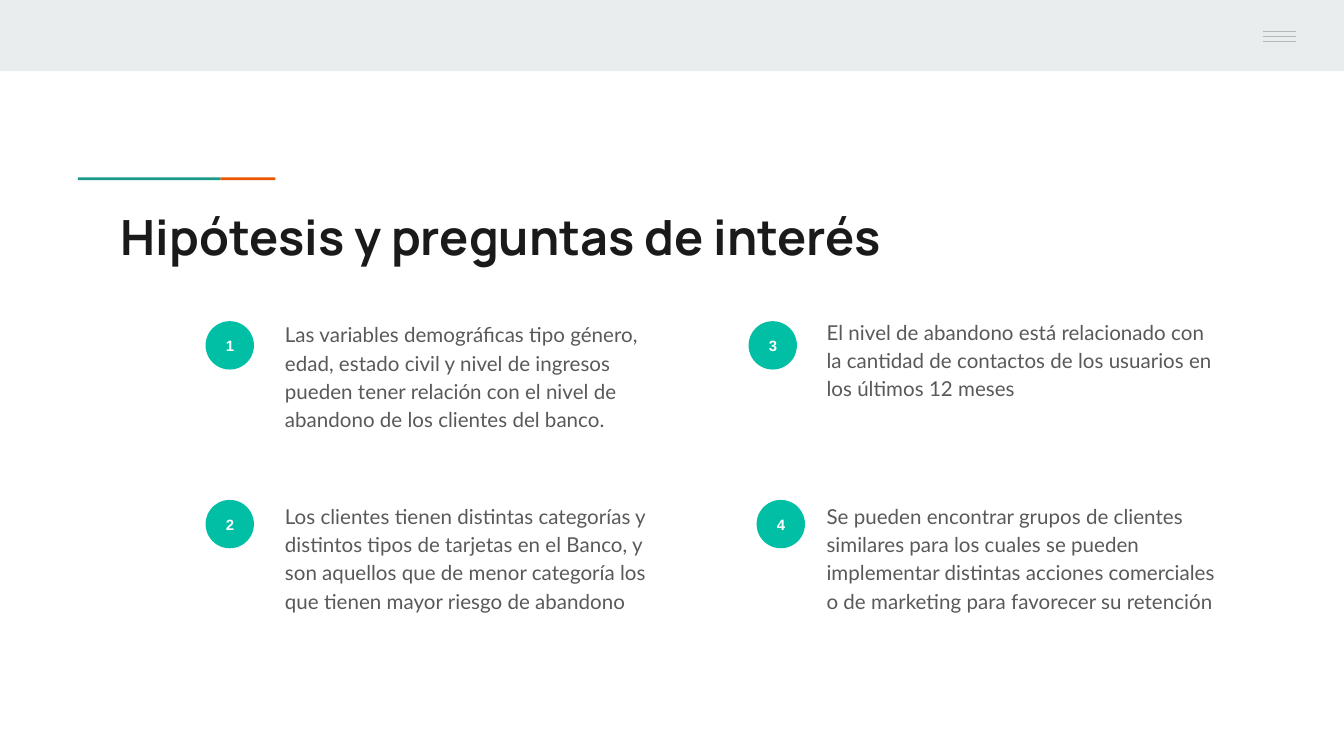
import pptx
import pptx.dml.color
import pptx.enum.shapes
import pptx.enum.text
import pptx.oxml
import pptx.oxml.ns
import pptx.util

COLORS = {
    "band": "E9EDEE",
    "green": "1A9988",
    "orange": "EB5600",
    "menu": "B7B7B7",
    "title": "1A1A1A",
    "badge": "00BFA5",
    "white": "FFFFFF",
    "body": "595959",
}
FONTS = {
    "title": {"name": "Manrope", "size": pptx.util.Pt(26), "bold": True},
    "body": {"name": "Lato", "size": pptx.util.Pt(11), "bold": False},
    "white": {"name": "Arial", "size": pptx.util.Pt(8), "bold": True},
}
ALIGN = pptx.enum.text.PP_ALIGN
ANCHOR = pptx.enum.text.MSO_ANCHOR
SHAPE = pptx.enum.shapes.MSO_SHAPE

# The slide is a grid of 100 columns by 56.25 rows of square cells.
COLUMNS, ROWS = 100, 56.25
CELL = 0.1

# Number, badge column and row, text column and row, space after, wording
HYPOTHESES = [
    (1, 15.3, 23.9, 20.2, 22.7, 16,
     "Las variables demográficas tipo género, edad, estado civil y nivel de "
     "ingresos pueden tener relación con el nivel de abandono de los clientes "
     "del banco."),
    (2, 15.3, 37.2, 20.2, 36.2, 16,
     "Los clientes tienen distintas categorías y distintos tipos de tarjetas en "
     "el Banco, y son aquellos que de menor categoría los que tienen mayor "
     "riesgo de abandono"),
    (3, 55.7, 23.9, 60.5, 22.5, 0,
     "El nivel de abandono está relacionado con la cantidad de contactos de los "
     "usuarios en los últimos 12 meses"),
    (4, 56.3, 37.2, 60.5, 36.2, 16,
     "Se pueden encontrar grupos de clientes similares para los cuales se pueden "
     "implementar distintas acciones comerciales o de marketing para favorecer "
     "su retención"),
]


def cells(*counts):
    """Turn grid counts into lengths."""
    return [pptx.util.Inches(count * CELL) for count in counts]


def color(name):
    return pptx.dml.color.RGBColor.from_string(COLORS[name])


def apply(target, values):
    for name, value in values.items():
        setattr(target, name, value)


class Painter:
    """Draws styled elements on the current slide."""

    def __init__(self, page):
        self.page = page

    def fill_text(self, box, text, style, frame_format, para_format):
        frame = box.text_frame
        margins = dict.fromkeys(
            ("margin_left", "margin_top", "margin_right", "margin_bottom"), cells(1)[0])
        apply(frame, {**margins, "word_wrap": True,
                      "auto_size": pptx.enum.text.MSO_AUTO_SIZE.NONE, **frame_format})
        frame.text = text
        para = frame.paragraphs[0]
        apply(para, {"space_before": pptx.util.Pt(0), **para_format})
        span = para.runs[0]
        apply(span.font, FONTS[style])
        span.font.color.rgb = color(style)

    def placeholder(self, box, area, text, style, **para_format):
        apply(box, dict(zip(("left", "top", "width", "height"), cells(*area))))
        self.fill_text(box, text, style, {"vertical_anchor": ANCHOR.TOP},
                       {"alignment": ALIGN.LEFT, **para_format})
        properties = box.text_frame.paragraphs[0]._p.get_or_add_pPr()
        properties.set("marL", "0")
        properties.set("indent", "0")
        properties.append(pptx.oxml.parse_xml(
            f"<a:buNone {pptx.oxml.ns.nsdecls('a')}/>"))

    def shape(self, kind, area, fill):
        shape = self.page.shapes.add_shape(kind, *cells(*area))
        shape.shadow.inherit = False
        shape.fill.solid()
        shape.fill.fore_color.rgb = color(fill)
        shape.line.fill.background()
        return shape

    def badge(self, column, row, number):
        circle = self.shape(SHAPE.OVAL, (column, row, 3.6, 3.6), "badge")
        self.fill_text(circle, str(number), "white", {"vertical_anchor": ANCHOR.MIDDLE},
                       {"alignment": ALIGN.CENTER})

    def line(self, start, end, stroke):
        line = self.page.shapes.add_connector(
            pptx.enum.shapes.MSO_CONNECTOR.STRAIGHT, *cells(*start, *end))
        line.line.color.rgb = color(stroke)
        line.line.width = pptx.util.Pt(0.75)
        line._element.spPr.append(pptx.oxml.parse_xml(
            f"<a:effectLst {pptx.oxml.ns.nsdecls('a')}/>"))


def main():
    deck = pptx.Presentation()
    deck.slide_width, deck.slide_height = cells(COLUMNS, ROWS)
    page = deck.slides.add_slide(deck.slide_layouts.get_by_name("Comparison"))
    painter = Painter(page)

    painter.shape(SHAPE.RECTANGLE, (0, 0, COLUMNS, 5.3), "band")
    painter.shape(SHAPE.RECTANGLE, (16.4, 13.2, 4.1, 0.2), "orange")
    painter.shape(SHAPE.RECTANGLE, (5.8, 13.2, 10.6, 0.2), "green")
    for index in range(3):
        row = 2.35 + 0.37 * index
        painter.line((94, row), (96.4, row), "menu")

    title, *bodies = page.placeholders
    painter.placeholder(title, (8, 14.4, 84.1, 5.9),
                        "Hipótesis y preguntas de interés", "title")
    for body, hypothesis in zip(bodies, HYPOTHESES):
        number, badge_column, badge_row, column, row, after, text = hypothesis
        painter.badge(badge_column, badge_row, number)
        painter.placeholder(body, (column, row, 31, 11.5), text, "body",
                            line_spacing=1.15, space_after=pptx.util.Pt(after))

    deck.save("out.pptx")


if __name__ == "__main__":
    main()
